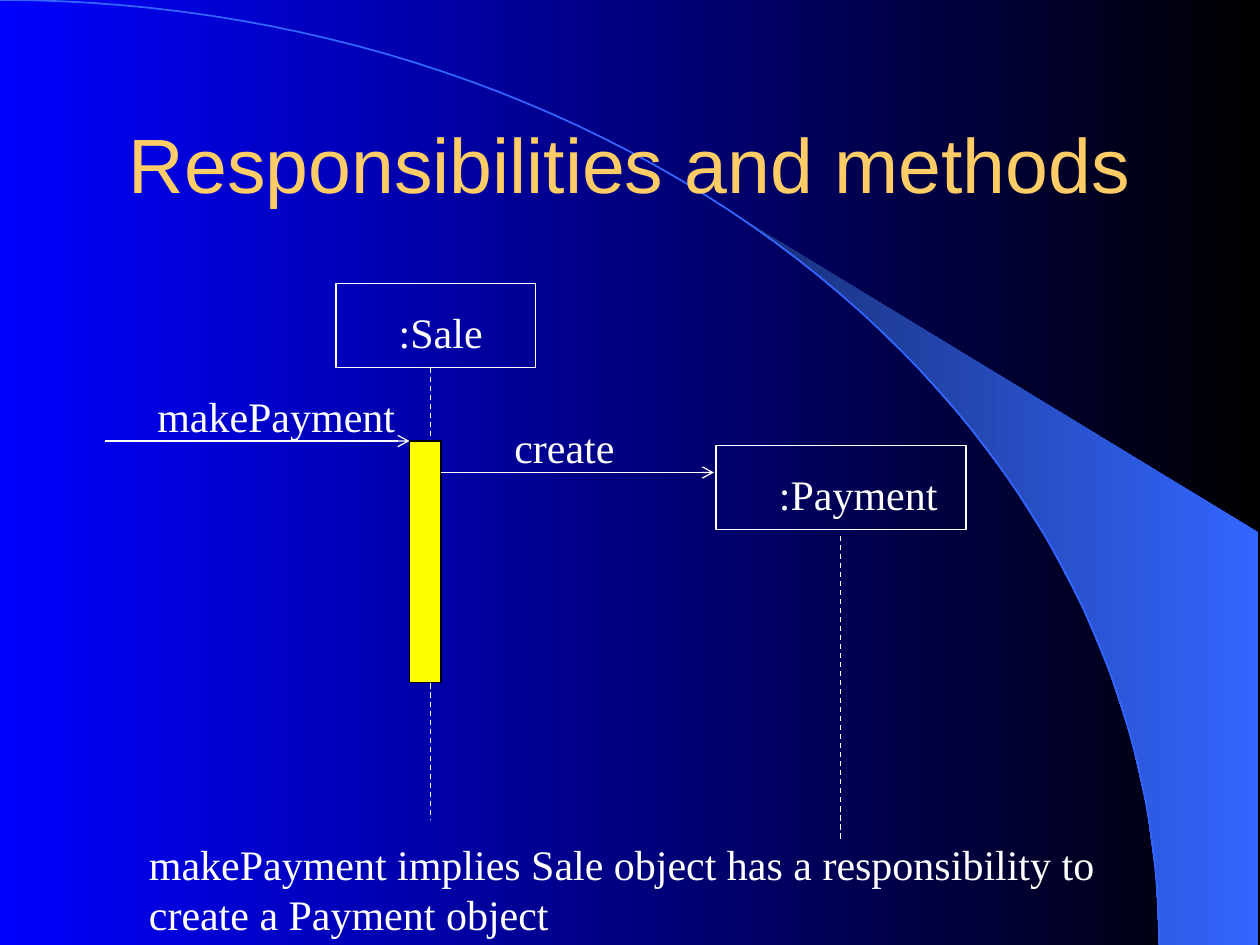
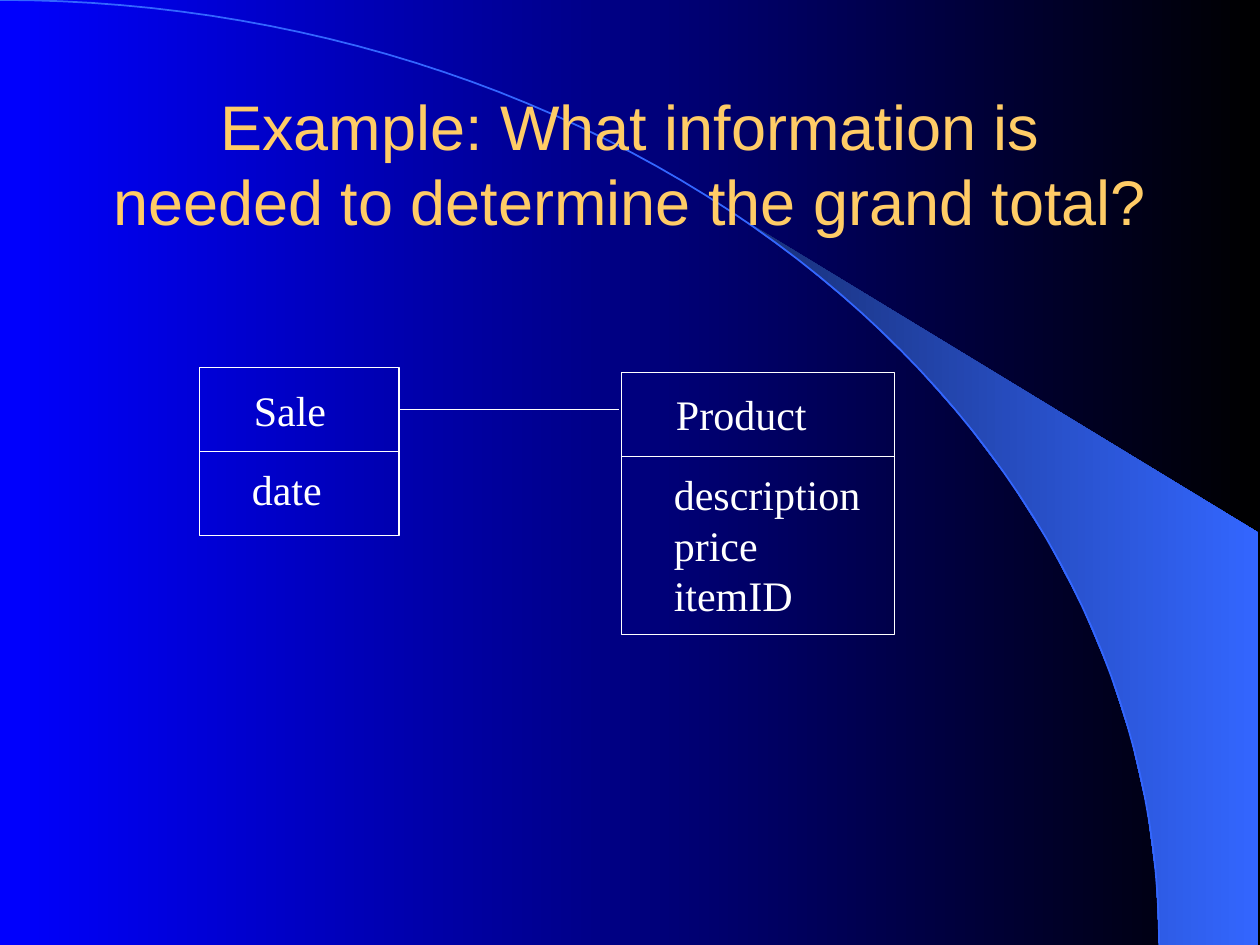
from math import cos, pi, sin

from lxml import etree
from pptx import Presentation
from pptx.dml.color import RGBColor
from pptx.enum.dml import MSO_LINE
from pptx.enum.shapes import MSO_CONNECTOR, MSO_SHAPE
from pptx.enum.text import MSO_ANCHOR, MSO_AUTO_SIZE, PP_ALIGN
from pptx.oxml.ns import qn
from pptx.util import Inches, Pt

WHITE = RGBColor(0xFF, 0xFF, 0xFF)
BLACK = RGBColor(0x00, 0x00, 0x00)
BLUE = RGBColor(0x00, 0x00, 0xFF)
SKY = RGBColor(0x33, 0x66, 0xFF)
NAVY = RGBColor(0x18, 0x2F, 0x76)
GOLD = RGBColor(0xFF, 0xCC, 0x66)
YELLOW = RGBColor(0xFF, 0xFF, 0x00)
SANS = "Arial"
SERIF = "Times New Roman"
STRAIGHT = MSO_CONNECTOR.STRAIGHT
RECT = MSO_SHAPE.RECTANGLE
DASH = MSO_LINE.DASH
LEFT, CENTER = PP_ALIGN.LEFT, PP_ALIGN.CENTER
TOP, MIDDLE = MSO_ANCHOR.TOP, MSO_ANCHOR.MIDDLE
NO_FIT = MSO_AUTO_SIZE.NONE
FIT = MSO_AUTO_SIZE.SHAPE_TO_FIT_TEXT

COLS, ROWS = 120, 90
WIDTH, HEIGHT = Inches(10), Inches(7.5)
LINE_ROWS = 4.8


def grid(*cells):
    sizes = (WIDTH / COLS, HEIGHT / ROWS)
    return [round(cell * sizes[i % 2]) for i, cell in enumerate(cells)]


def write(shape, text, size=24, font=SERIF, color=WHITE, align=LEFT,
          anchor=TOP, wrap=False, fit=FIT):
    frame = shape.text_frame
    frame.text = text
    frame.word_wrap = wrap
    frame.auto_size = fit
    frame.vertical_anchor = anchor
    for para in frame.paragraphs:
        para.alignment = align
        face = para.runs[0].font
        face.size, face.name = Pt(size), font
        face.color.rgb = color


def label(slide, text, left, top, width, **style):
    high = LINE_ROWS * (text.count("\n") + 1) + 1.2
    box = slide.shapes.add_textbox(*grid(left, top, width, high))
    write(box, text, **style)


def block(slide, box, fill=None, line=WHITE):
    shape = slide.shapes.add_shape(RECT, *grid(*box))
    shape.shadow.inherit = False
    if fill is None:
        shape.fill.background()
    else:
        shape.fill.solid()
        shape.fill.fore_color.rgb = fill
    shape.line.color.rgb = line
    shape.line.width = Pt(0.75)


def link(slide, start, end, dash=None, arrow=False):
    wire = slide.shapes.add_connector(STRAIGHT, *grid(*start, *end))
    wire.line.color.rgb = WHITE
    wire.line.width = Pt(0.75)
    if dash:
        wire.line.dash_style = dash
    props = wire.element.spPr
    if arrow:
        tail = etree.SubElement(props.find(qn("a:ln")), qn("a:tailEnd"))
        tail.set("type", "arrow")
    etree.SubElement(props, qn("a:effectLst"))


def blend(fill, first, last):
    fill.gradient()
    fill.gradient_angle = 0
    for stop, color in zip(fill.gradient_stops, (first, last)):
        stop.color.rgb = color


def arc(start, end, steps):
    turns = [start + (end - start) * i / steps for i in range(steps + 1)]
    return [(WIDTH * 0.92 * sin(t), HEIGHT * (1 - cos(t))) for t in turns]


def outline(slide, points, close):
    pen = slide.shapes.build_freeform(*points[0])
    pen.add_line_segments(points[1:], close=close)
    shape = pen.convert_to_shape()
    shape.shadow.inherit = False
    return shape


def backdrop(master, slide):
    blend(master.background.fill, BLUE, BLACK)
    edge = arc(0.69, pi / 2, 12)
    corner = [(WIDTH * 0.999, HEIGHT), (WIDTH * 0.999, HEIGHT * 0.564)]
    beam = outline(slide, edge + corner, True)
    blend(beam.fill, NAVY, SKY)
    beam.line.fill.background()
    curve = outline(slide, arc(0, pi / 2, 60), False)
    curve.fill.background()
    curve.line.color.rgb = SKY
    curve.line.width = Pt(1)
    for place, shape in enumerate((beam, curve), 2):
        master.shapes.element.insert(place, shape.element)


def head(slide, text, size):
    title = slide.shapes.title
    title.left, title.top, title.width, title.height = grid(9, 8, 102, 15)
    write(title, text, size=size, font=SANS, color=GOLD, align=CENTER,
          anchor=MIDDLE, wrap=True, fit=NO_FIT)


def object_box(slide, box, name, width):
    left, top = box[:2]
    block(slide, box)
    label(slide, name, left + 4.8, top + 1.6, width)


def message(slide, start, end, row, name, inset, width):
    link(slide, (start, row), (end, row), arrow=True)
    label(slide, name, start + inset, row - 5.4, width)


def class_box(slide, box, name, fields, name_width, field_width):
    left, top, width = box[:3]
    split = top + 8
    block(slide, box)
    label(slide, name, left + 4, top + 1, name_width)
    label(slide, "\n".join(fields), left + 3.8, split + 0.6, field_width)
    link(slide, (left, split), (left + width, split))


def sequence(slide):
    head(slide, "Responsibilities and methods", 44)
    object_box(slide, (32, 27, 19, 8), ":Sale", 10.8)
    object_box(slide, (68.2, 42.45, 23.8, 8), ":Payment", 17.9)
    link(slide, (41, 35), (41, 78), dash=DASH)
    link(slide, (80.04, 51), (80.04, 80), dash=DASH)
    message(slide, 10, 39, 42, "makePayment", 3.8, 25.4)
    block(slide, (39, 42, 3, 23), fill=YELLOW, line=BLACK)
    message(slide, 42, 68, 45, "create", 5.8, 12.4)
    label(slide, "makePayment implies Sale object has a responsibility to "
          "create a Payment object", 13, 79.25, 96.8, wrap=True)


def classes(slide):
    head(slide, "Example: What information is needed to determine "
         "the grand total?", 36)
    class_box(slide, (19, 35, 19, 16), "Sale", ["date"], 9.7, 9.5)
    class_box(slide, (59.2, 35.45, 26, 25), "Product",
              ["description", "price", "itemID"], 15.2, 20.6)
    link(slide, (38, 39), (59, 39))


def main():
    deck = Presentation()
    deck.slide_width, deck.slide_height = WIDTH, HEIGHT
    layout = deck.slide_layouts[5]
    first, second = [deck.slides.add_slide(layout) for _ in range(2)]
    backdrop(deck.slide_master, first)
    sequence(first)
    classes(second)
    deck.save("out.pptx")


if __name__ == "__main__":
    main()
